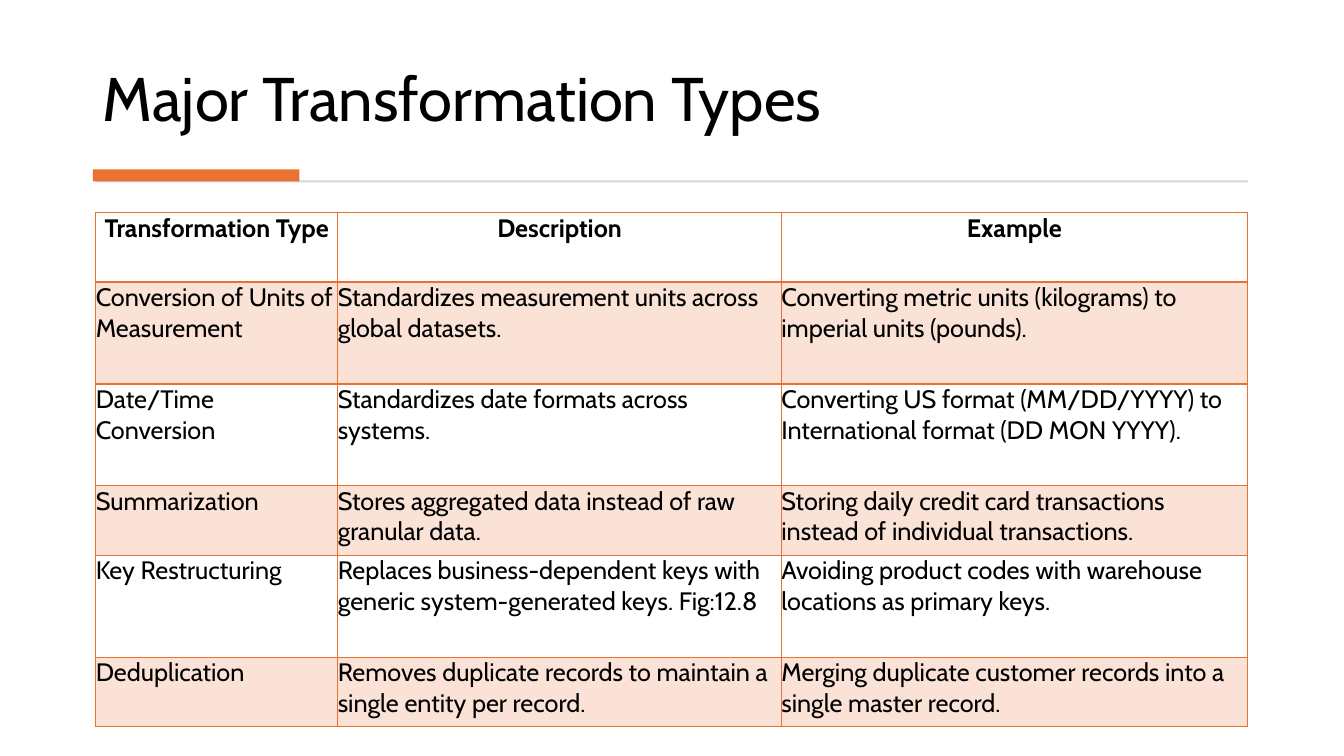
import pptx
import pptx.dml.color
import pptx.enum.shapes
import pptx.enum.text
import pptx.oxml
import pptx.oxml.ns
import pptx.util
from lxml import etree

Inches = pptx.util.Inches
Pt = pptx.util.Pt
ALIGN = pptx.enum.text.PP_ALIGN
ANCHOR = pptx.enum.text.MSO_ANCHOR

COLORS = {"text": "000000", "accent": "E97132", "rule": "D5D5D5"}
FONT = "Cabin"

COLUMN_WIDTHS = [2.4, 4.4, 4.62]
ROW_HEIGHTS = [0.69, 1.01, 1.01, 0.69, 1.01, 0.69]
TRANSFORMATIONS = [
    ("Transformation Type", "Description", "Example"),
    ("Conversion of Units of Measurement",
     "Standardizes measurement units across global datasets.",
     "Converting metric units (kilograms) to imperial units (pounds)."),
    ("Date/Time Conversion",
     "Standardizes date formats across systems.",
     "Converting US format (MM/DD/YYYY) to International format (DD MON YYYY)."),
    ("Summarization",
     "Stores aggregated data instead of raw granular data.",
     "Storing daily credit card transactions instead of individual transactions."),
    ("Key Restructuring",
     "Replaces business-dependent keys with generic system-generated keys. Fig:12.8",
     "Avoiding product codes with warehouse locations as primary keys."),
    ("Deduplication",
     "Removes duplicate records to maintain a single entity per record.",
     "Merging duplicate customer records into a single master record."),
]


def rgb(name):
    return pptx.dml.color.RGBColor.from_string(COLORS[name])


def write(frame, text, size=18, bold=False, align=ALIGN.LEFT, spacing=1.0):
    frame.word_wrap = True
    paragraph = frame.paragraphs[0]
    paragraph.alignment = align
    paragraph.line_spacing = spacing
    run = paragraph.add_run()
    run.text = text
    run.font.name = FONT
    run.font.size = Pt(size)
    run.font.bold = bold
    run.font.color.rgb = rgb("text")


def add_bar(slide, left, top, width, height, color):
    bar = slide.shapes.add_shape(
        pptx.enum.shapes.MSO_SHAPE.RECTANGLE,
        Inches(left), Inches(top), Inches(width), Inches(height))
    bar.shadow.inherit = False
    bar.fill.solid()
    bar.fill.fore_color.rgb = rgb(color)
    bar.line.fill.background()


def add_heading(slide, left, top, width, height):
    title = slide.shapes.add_textbox(
        Inches(left), Inches(top), Inches(width), Inches(height)).text_frame
    title.vertical_anchor = ANCHOR.BOTTOM
    write(title, "Major Transformation Types", size=44, spacing=0.9)

    # Grey rule with the accent bar at its left end
    add_bar(slide, left + 0.03, top + 1.51, width - 0.06, 0.02, "rule")
    add_bar(slide, left, top + 1.4, 2.05, 0.12, "accent")


def set_borders(cell, **widths):
    properties = cell._tc.get_or_add_tcPr()
    for side in ("L", "R", "T", "B"):
        properties.append(pptx.oxml.parse_xml(
            f'<a:ln{side} {pptx.oxml.ns.nsdecls("a")} w="{Pt(widths.get(side, 1))}">'
            f'<a:solidFill><a:srgbClr val="{COLORS["accent"]}"/></a:solidFill>'
            f'</a:ln{side}>'))


def set_tint(cell, percent):
    cell.fill.solid()
    cell.fill.fore_color.rgb = rgb("accent")
    color = cell._tc.tcPr.find(pptx.oxml.ns.qn("a:solidFill"))[0]
    etree.SubElement(color, pptx.oxml.ns.qn("a:alpha"), val=str(percent * 1000))


def add_transformations(slide, left, top, width, height):
    table = slide.shapes.add_table(
        len(ROW_HEIGHTS), len(COLUMN_WIDTHS),
        Inches(left), Inches(top), Inches(width), Inches(height)).table
    table.first_row = True
    table.horz_banding = False
    for column, column_width in zip(table.columns, COLUMN_WIDTHS):
        column.width = Inches(column_width)

    for r, (row, row_height) in enumerate(zip(table.rows, ROW_HEIGHTS)):
        row.height = Inches(row_height)
        header = r == 0
        for cell, text in zip(row.cells, TRANSFORMATIONS[r]):
            cell.margin_left = cell.margin_right = 0
            cell.margin_top = cell.margin_bottom = 0
            # The line under the header is twice as thick
            set_borders(cell, B=2 if header else 1, T=2 if r == 1 else 1)
            if r % 2:
                set_tint(cell, 20)
            else:
                cell.fill.background()
            write(cell.text_frame, text, bold=header,
                  align=ALIGN.CENTER if header else ALIGN.LEFT)


def main():
    deck = pptx.Presentation()
    deck.slide_width = Inches(13.33)
    deck.slide_height = Inches(7.5)
    slide = deck.slides.add_slide(deck.slide_layouts[6])
    add_heading(slide, 0.92, 0.28, 11.49, 1.11)
    add_transformations(slide, 0.95, 2.11, sum(COLUMN_WIDTHS), sum(ROW_HEIGHTS))
    deck.save("out.pptx")


if __name__ == "__main__":
    main()
